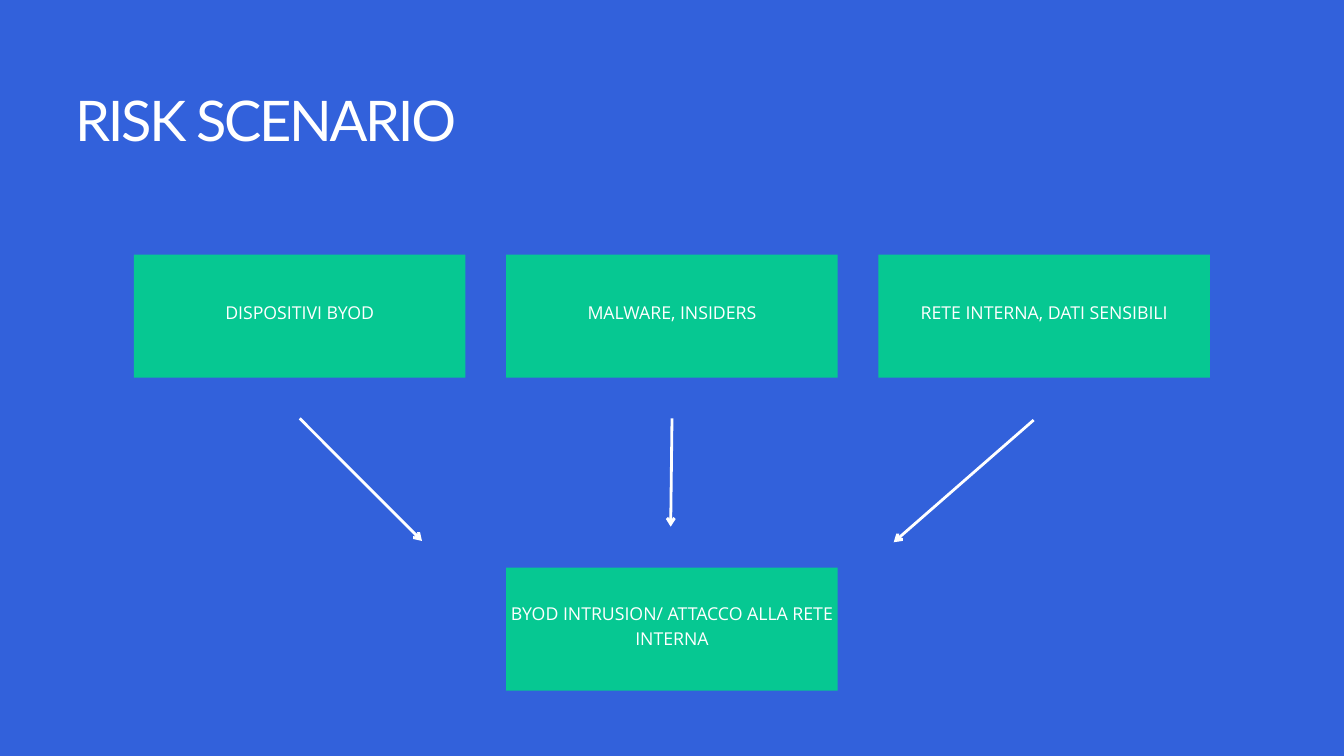
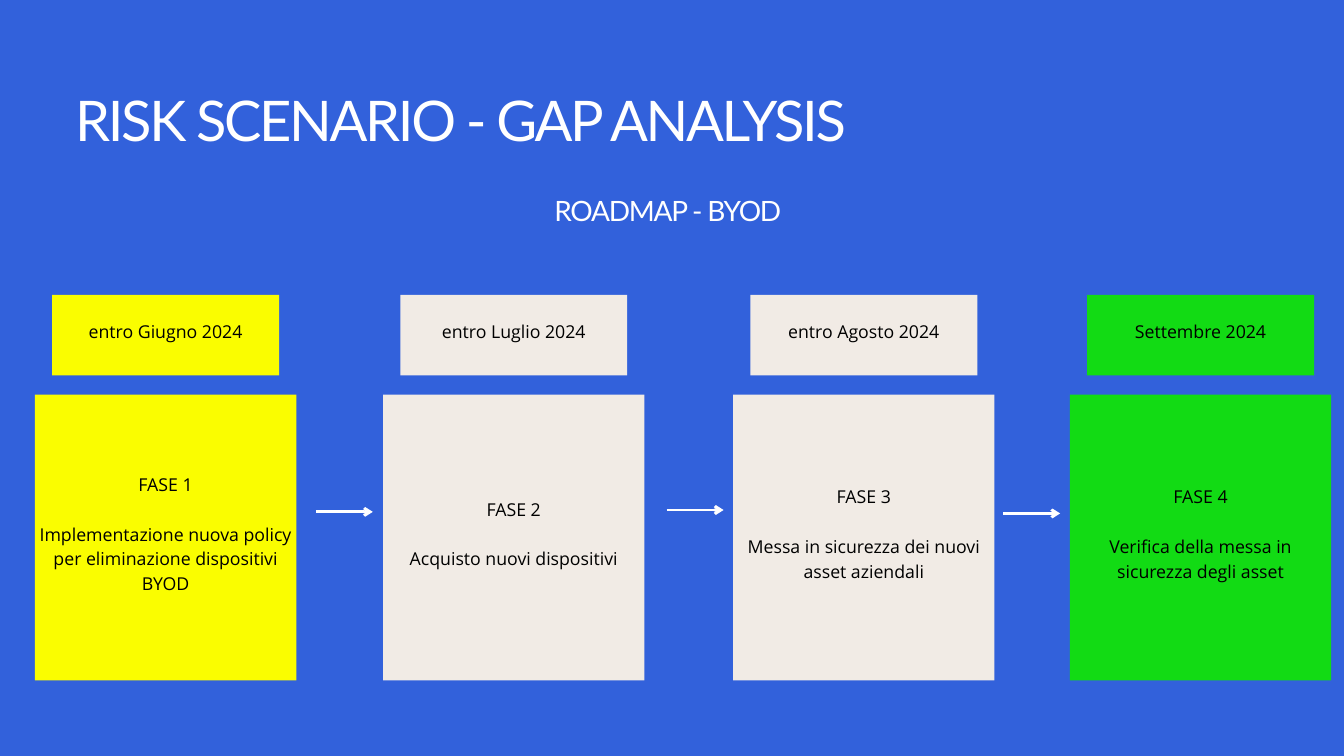
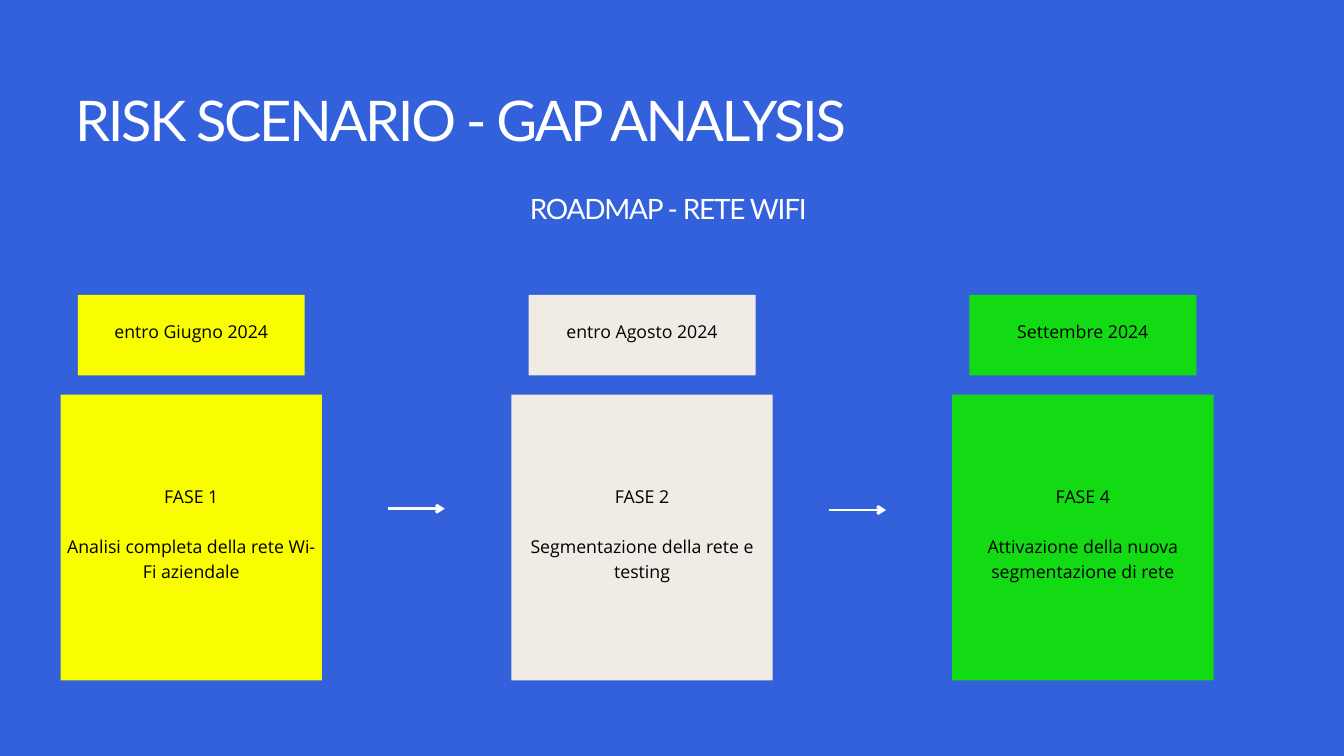
"""Build three risk scenario slides: attack diagram and two phased roadmaps."""
from typing import NamedTuple

from lxml import etree
from pptx import Presentation, util as u
from pptx.dml.color import RGBColor
from pptx.enum import shapes, text
from pptx.oxml.ns import qn

BLUE, TEAL, WHITE, BLACK = "3261DB", "06C892", "FFFFFF", "000000"
YELLOW, SAND, GREEN = "FAFD00", "F1EBE5", "12DB14"
SLIDE_WIDTH, SLIDE_HEIGHT = 50.8, 28.58
MIDDLE = SLIDE_WIDTH / 2
INSET, LOWER_INSET = 0.15, 0.55

HEADING_FRAME = {"margin_left": 0, "margin_right": 0, "margin_top": 0, "margin_bottom": 0,
                 "word_wrap": True, "vertical_anchor": text.MSO_ANCHOR.TOP,
                 "auto_size": text.MSO_AUTO_SIZE.SHAPE_TO_FIT_TEXT}
BOX_FRAME = {"margin_left": u.Cm(INSET), "margin_right": u.Cm(INSET),
             "margin_top": u.Cm(INSET), "margin_bottom": u.Cm(LOWER_INSET),
             "word_wrap": True, "vertical_anchor": text.MSO_ANCHOR.MIDDLE}
HEADING_PARAGRAPH = {"alignment": text.PP_ALIGN.LEFT, "space_before": u.Pt(0)}
BOX_PARAGRAPH = {"alignment": text.PP_ALIGN.CENTER, "line_spacing": u.Pt(26.6)}
BOX_FONT = {"name": "Open Sans", "size": u.Pt(19)}


class Box(NamedTuple):
    center: float
    top: float
    width: float
    height: float
    fill: str
    ink: str
    lines: tuple[str, ...]


class Arrow(NamedTuple):
    x1: float
    y1: float
    x2: float
    y2: float


class Phase(NamedTuple):
    left: float
    fill: str
    deadline: str
    name: str
    task: str


class Roadmap(NamedTuple):
    subtitle: str
    subtitle_top: float
    subtitle_width: float
    phases: tuple[Phase, ...]
    arrow_starts: tuple[tuple[float, float], ...]


RISK_SIZE = (12.53, 4.65)
RISK_PITCH = 14.07
RISKS = ("DISPOSITIVI BYOD", "MALWARE, INSIDERS", "RETE INTERNA, DATI SENSIBILI")
ATTACK = "BYOD INTRUSION/ ATTACCO ALLA RETE INTERNA"
RISK_ARROWS = (Arrow(11.33, 15.82, 15.95, 20.45),
               Arrow(39.07, 15.88, 33.78, 20.5),
               Arrow(25.4, 15.82, 25.35, 19.91))

PHASE_SIZE = (9.88, 10.8)
DEADLINE_SIZE = (8.58, 3.04)
STEP_LENGTH = 2.15
ROADMAPS = (
    Roadmap("ROADMAP - BYOD", 7.37, 8.89, (
        Phase(1.32, YELLOW, "entro Giugno 2024", "FASE 1",
              "Implementazione nuova policy per eliminazione dispositivi BYOD"),
        Phase(14.48, SAND, "entro Luglio 2024", "FASE 2", "Acquisto nuovi dispositivi"),
        Phase(27.71, SAND, "entro Agosto 2024", "FASE 3",
              "Messa in sicurezza dei nuovi asset aziendali"),
        Phase(40.44, GREEN, "Settembre 2024", "FASE 4",
              "Verifica della messa in sicurezza degli asset"),
    ), ((11.94, 19.35), (25.2, 19.28), (37.92, 19.41))),
    Roadmap("ROADMAP - RETE WIFI", 7.32, 10.74, (
        Phase(2.29, YELLOW, "entro Giugno 2024", "FASE 1",
              "Analisi completa della rete Wi-Fi aziendale"),
        Phase(19.33, SAND, "entro Agosto 2024", "FASE 2",
              "Segmentazione della rete e testing"),
        Phase(35.99, GREEN, "Settembre 2024", "FASE 4",
              "Attivazione della nuova segmentazione di rete"),
    ), ((14.66, 19.23), (31.34, 19.28))),
)


def apply(target, values: dict) -> None:
    """Set every attribute named in values."""
    for attribute, value in values.items():
        setattr(target, attribute, value)


def paint(color_format, color: str) -> None:
    """Give a fill a solid hex colour."""
    color_format.solid()
    color_format.fore_color.rgb = RGBColor.from_string(color)


def write_heading(shape, words: str, size: float, spacing: float) -> None:
    """Write one tightly tracked white heading line."""
    apply(shape.text_frame, HEADING_FRAME)
    paragraph = shape.text_frame.paragraphs[0]
    apply(paragraph, HEADING_PARAGRAPH | {"line_spacing": u.Pt(size * 1.14)})
    run = paragraph.add_run()
    run.text = words
    apply(run.font, {"name": "Lato", "size": u.Pt(size)})
    paint(run.font.fill, WHITE)
    run.font._element.set("spc", str(round(spacing * 100)))


def add_titled_slide(deck, title: str):
    """Add a slide with its title in place."""
    slide = deck.slides.add_slide(deck.slide_layouts[5])
    heading = slide.shapes.title
    apply(heading, {"left": u.Cm(2.84), "top": u.Cm(3.35),
                    "width": u.Cm(36.75), "height": u.Cm(2.46)})
    write_heading(heading, title, 60, -2.5)
    return slide


def draw_box(slide, box: Box) -> None:
    """Draw a filled rectangle with centred lines."""
    shape = slide.shapes.add_shape(
        shapes.MSO_SHAPE.RECTANGLE, u.Cm(box.center - box.width / 2), u.Cm(box.top),
        u.Cm(box.width), u.Cm(box.height))
    shape.shadow.inherit = False
    paint(shape.fill, box.fill)
    shape.line.fill.background()
    frame = shape.text_frame
    apply(frame, BOX_FRAME)
    for index, line in enumerate(box.lines):
        paragraph = frame.add_paragraph() if index else frame.paragraphs[0]
        apply(paragraph, BOX_PARAGRAPH)
        if index:
            paragraph.space_before = BOX_PARAGRAPH["line_spacing"]
        run = paragraph.add_run()
        run.text = line
        apply(run.font, BOX_FONT)
        paint(run.font.fill, box.ink)


def draw_arrow(slide, arrow: Arrow) -> None:
    """Draw a white line with an open head at its end."""
    connector = slide.shapes.add_connector(
        shapes.MSO_CONNECTOR.STRAIGHT, *(u.Cm(value) for value in arrow))
    connector.line.width = u.Pt(3)
    paint(connector.line.fill, WHITE)
    outline = connector.line._get_or_add_ln()
    etree.SubElement(outline, qn("a:tailEnd"), type="arrow")
    etree.SubElement(connector._element.spPr, qn("a:effectLst"))


def build_scenario(deck) -> None:
    """Build the slide where three risks lead to an attack."""
    slide = add_titled_slide(deck, "RISK SCENARIO")
    for column, risk in enumerate(RISKS, start=-1):
        draw_box(slide, Box(MIDDLE + column * RISK_PITCH, 9.63, *RISK_SIZE, TEAL, WHITE, (risk,)))
    draw_box(slide, Box(MIDDLE, 21.46, *RISK_SIZE, TEAL, WHITE, (ATTACK,)))
    for arrow in RISK_ARROWS:
        draw_arrow(slide, arrow)


def build_roadmap(deck, roadmap: Roadmap) -> None:
    """Build a slide with dated phases joined by arrows."""
    slide = add_titled_slide(deck, "RISK SCENARIO - GAP ANALYSIS")
    width = roadmap.subtitle_width
    subtitle = slide.shapes.add_textbox(
        u.Cm(MIDDLE - width / 2), u.Cm(roadmap.subtitle_top), u.Cm(width), u.Cm(1.22))
    write_heading(subtitle, roadmap.subtitle, 30, -1.3)
    for phase in roadmap.phases:
        center = phase.left + PHASE_SIZE[0] / 2
        draw_box(slide, Box(center, 11.15, *DEADLINE_SIZE, phase.fill, BLACK, (phase.deadline,)))
        draw_box(slide, Box(center, 14.92, *PHASE_SIZE, phase.fill, BLACK,
                            (phase.name, phase.task)))
    for x, y in roadmap.arrow_starts:
        draw_arrow(slide, Arrow(x, y, x + STEP_LENGTH, y))


def main() -> None:
    """Build and save the deck."""
    deck = Presentation()
    apply(deck, {"slide_width": u.Cm(SLIDE_WIDTH), "slide_height": u.Cm(SLIDE_HEIGHT)})
    paint(deck.slide_master.background.fill, BLUE)
    build_scenario(deck)
    for roadmap in ROADMAPS:
        build_roadmap(deck, roadmap)
    deck.save("out.pptx")


if __name__ == "__main__":
    main()
